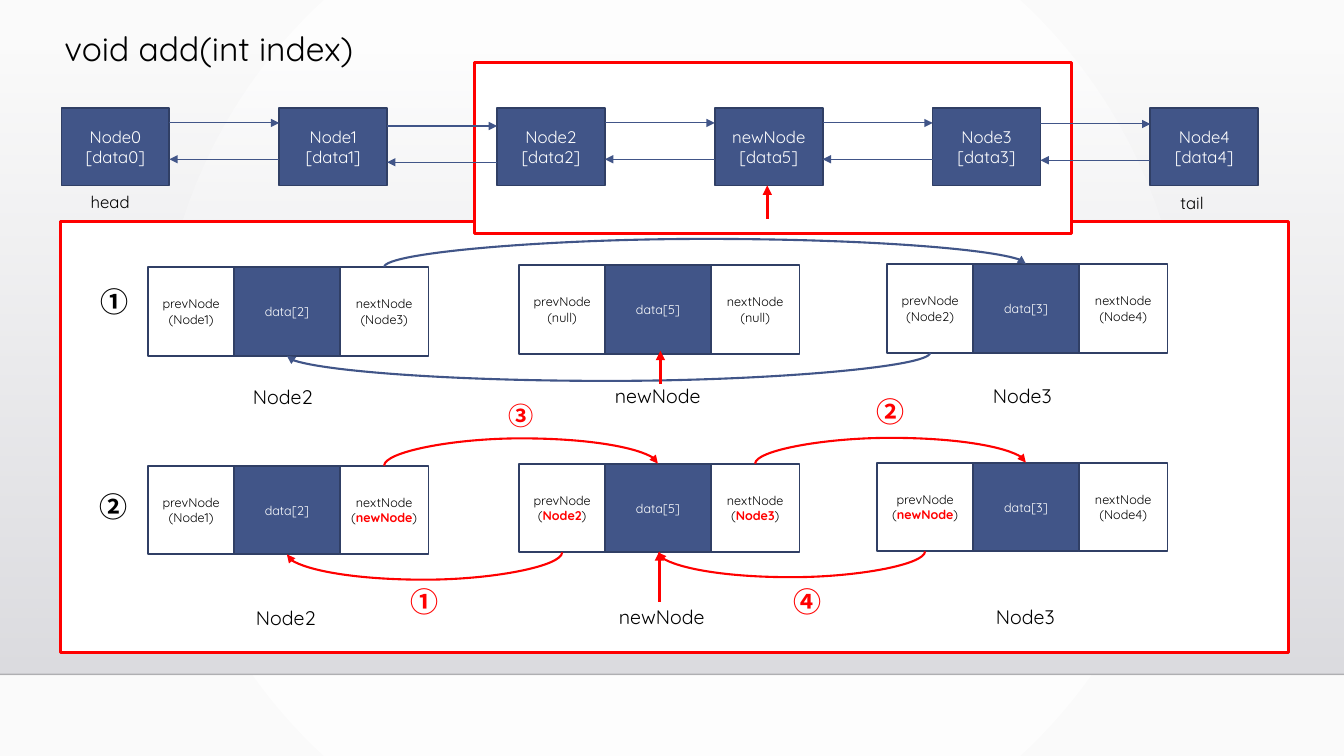
"""Build the slide that explains inserting a node into a doubly linked list."""
from dataclasses import dataclass

from lxml import etree
from pptx import Presentation
from pptx.dml.color import RGBColor
from pptx.enum.shapes import MSO_CONNECTOR, MSO_SHAPE
from pptx.enum.text import MSO_ANCHOR, PP_ALIGN
from pptx.oxml.ns import qn
from pptx.util import Inches, Pt

RECTANGLE = MSO_SHAPE.RECTANGLE
STRAIGHT, CURVE = MSO_CONNECTOR.STRAIGHT, MSO_CONNECTOR.CURVE
CENTER, LEFT, MIDDLE = PP_ALIGN.CENTER, PP_ALIGN.LEFT, MSO_ANCHOR.MIDDLE
TOP_SITE, BOTTOM_SITE = 0, 2
COLORS = {
    "white": "FFFFFF", "black": "000000", "red": "FF0000", "blue": "415588",
    "outline": "303F65", "paper": "FAFAFA", "mist": "DCDCE0", "haze": "DEDEE2",
}
TEXT_FONT, MARK_FONT = "Quicksand", "Noto Sans CJK KR"


@dataclass
class DetailNode:
    left: float
    top: float
    prev_width: float
    prev_target: str
    data: str
    next_target: str
    label: str
    label_left: float
    label_top: float
    changed: tuple = ()


@dataclass
class Link:
    source: tuple
    target: tuple
    color: str
    rise: float
    upward: bool


@dataclass
class Mark:
    text: str
    left: float
    top: float
    color: str
    size: int = 20


def rgb(name: str) -> RGBColor:
    return RGBColor.from_string(COLORS[name])


def style_paragraph(paragraph, size, color: str, font: str = TEXT_FONT, align=LEFT, bold=None) -> None:
    paragraph.alignment = align
    paragraph.font.size, paragraph.font.name, paragraph.font.bold = Pt(size), font, bold
    paragraph.font.color.rgb = rgb(color)


def add_box(left, top, width, height, fill: str, line: str, line_width, lines=(), size=12,
            color="white", highlight=""):
    shape = slide.shapes.add_shape(RECTANGLE, Inches(left), Inches(top), Inches(width), Inches(height))
    shape.shadow.inherit = False
    shape.fill.solid()
    shape.fill.fore_color.rgb = rgb(fill)
    shape.line.color.rgb = rgb(line)
    shape.line.width = Pt(line_width)
    frame = shape.text_frame
    frame.word_wrap, frame.vertical_anchor = True, MIDDLE
    for index, text in enumerate(lines):
        paragraph = frame.add_paragraph() if index else frame.paragraphs[0]
        style_paragraph(paragraph, size, color, align=CENTER)
        if highlight and highlight in text:
            for part in ("(", highlight, ")"):
                run = paragraph.add_run()
                run.text = part
                if part == highlight:
                    run.font.bold = True
                    run.font.color.rgb = rgb("red")
        else:
            paragraph.add_run().text = text
    return shape


def add_label(text: str, left, top, width, height, size) -> None:
    frame = slide.shapes.add_textbox(Inches(left), Inches(top), Inches(width), Inches(height)).text_frame
    frame.word_wrap = True
    frame.text = text
    style_paragraph(frame.paragraphs[0], size, "black")


def add_mark(mark: Mark) -> None:
    frame = slide.shapes.add_textbox(Inches(mark.left), Inches(mark.top), Inches(0.28), Inches(0.34)).text_frame
    frame.margin_left = frame.margin_right = frame.margin_top = frame.margin_bottom = 0
    frame.word_wrap = False
    frame.text = mark.text
    paragraph = frame.paragraphs[0]
    style_paragraph(paragraph, mark.size, mark.color, MARK_FONT, bold=True)
    latin = paragraph._p.pPr.find(".//" + qn("a:latin"))
    latin.addnext(latin.makeelement(qn("a:ea"), {"typeface": MARK_FONT}))


def add_line(start: tuple, end: tuple, color: str, width, kind=STRAIGHT, arrow=True):
    connector = slide.shapes.add_connector(kind, *(Inches(value) for value in (*start, *end)))
    connector.line.color.rgb = rgb(color)
    connector.line.width = Pt(width)
    if arrow:
        etree.SubElement(connector.line._get_or_add_ln(), qn("a:tailEnd"), type="triangle")
    etree.SubElement(connector._element.spPr, qn("a:effectLst"))
    return connector


def add_link(link: Link) -> None:
    source, target = (cells[key] for key in (link.source, link.target))
    site = TOP_SITE if link.upward else BOTTOM_SITE
    connector = add_line((0, 0), (1, 1), link.color, 1.5, CURVE)
    connector.begin_connect(source, site)
    connector.end_connect(target, site)
    center_x = (connector.begin_x + connector.end_x) // 2
    center_y = (connector.begin_y + connector.end_y) // 2
    span, drop = connector.width, connector.height
    connector.left, connector.top = center_x - drop // 2, center_y - span // 2
    connector.width, connector.height = drop, span
    properties = connector._element.spPr
    transform = properties.find(qn("a:xfrm"))
    transform.set("rot", "5400000")
    for flip in ("flipH", "flipV"):
        transform.set(flip, str(int(link.upward)))
    guides = properties.find(qn("a:prstGeom")).get_or_add_avLst()
    etree.SubElement(guides, qn("a:gd"), name="adj1", fmla=f"val {round(Inches(link.rise) / drop * 100000)}")


def set_gradient(fill, first: str, last: str) -> None:
    fill.gradient()
    for stop, color in zip(fill.gradient_stops, (first, last)):
        stop.color.rgb = rgb(color)


def set_alpha(element, percent: int) -> None:
    etree.SubElement(element.find(".//" + qn("a:srgbClr")), qn("a:alpha"), val=str(percent * 1000))


def add_backdrop() -> None:
    set_gradient(slide.background.fill, "white", "paper")
    linear = slide._element.find(".//" + qn("a:lin"))
    radial = linear.makeelement(qn("a:path"), {"path": "circle"})
    etree.SubElement(radial, qn("a:fillToRect"), l="50000", t="50000", r="50000", b="50000")
    linear.getparent().replace(linear, radial)
    shade = add_box(0, 0.51, 13.33, 6.18, "mist", "mist", 1)
    shade.line.fill.background()
    set_gradient(shade.fill, "mist", "haze")
    shade.fill.gradient_angle = 270
    set_alpha(shade._element.spPr.find(qn("a:gradFill")), 0)
    horizon = add_line((0, 6.69), (13.33, 6.69), "black", 1, arrow=False)
    set_alpha(horizon._element.spPr, 20)


def add_detail_node(key: tuple, node: DetailNode) -> None:
    data_left = node.left + node.prev_width
    parts = (
        ("prev", node.left, node.prev_width, ("prevNode", f"({node.prev_target})"), node.prev_target),
        ("data", data_left, 1.05, (node.data,), ""),
        ("next", data_left + 1.05, 0.88, ("nextNode", f"({node.next_target})"), node.next_target),
    )
    for part, left, width, lines, target in parts:
        fill, color = ("blue", "white") if part == "data" else ("white", "black")
        cells[(*key, part)] = add_box(left, node.top, width, 0.88, fill, "outline", 1.25, lines, 9, color,
                                      target if part in node.changed else "")
    add_label(node.label, node.label_left, node.label_top, 1.16, 0.34, 14)


CHAIN = ("Node0", "data0"), ("Node1", "data1"), ("Node2", "data2"), ("newNode", "data5"), ("Node3", "data3"), ("Node4", "data4")
ARROW_TOPS = (1.22, 1.25, 1.22, 1.22, 1.23)
CHAIN_LEFT, PITCH, NODE_WIDTH = 0.61, 2.16, 1.07
STAGES = (
    (DetailNode(1.47, 2.65, 0.85, "Node1", "data[2]", "Node3", "Node2", 2.41, 3.77),
     DetailNode(5.15, 2.63, 0.85, "null", "data[5]", "null", "newNode", 6, 3.76),
     DetailNode(8.8, 2.62, 0.85, "Node2", "data[3]", "Node4", "Node3", 9.75, 3.76)),
    (DetailNode(1.47, 4.62, 0.85, "Node1", "data[2]", "newNode", "Node2", 2.44, 5.96, ("next",)),
     DetailNode(5.15, 4.6, 0.85, "Node2", "data[5]", "Node3", "newNode", 6.04, 5.95, ("prev", "next")),
     DetailNode(8.7, 4.59, 0.95, "newNode", "data[3]", "Node4", "Node3", 9.78, 5.95, ("prev",))),
)
LINKS = (
    Link((0, 0, "next"), (0, 2, "data"), "blue", 0.28, True),
    Link((0, 2, "prev"), (0, 0, "data"), "blue", 0.28, False),
    Link((1, 0, "next"), (1, 1, "data"), "red", 0.27, True),
    Link((1, 1, "next"), (1, 2, "data"), "red", 0.26, True),
    Link((1, 1, "prev"), (1, 0, "data"), "red", 0.27, False),
    Link((1, 2, "prev"), (1, 1, "data"), "red", 0.26, False),
)
MARKS = (
    Mark("①", 1, 2.82, "black"), Mark("②", 0.99, 4.86, "black"),
    Mark("①", 4.07, 5.8, "red"), Mark("②", 8.69, 3.91, "red"),
    Mark("③", 5.04, 3.97, "red", 18), Mark("④", 7.87, 5.8, "red"),
)
POINTERS = ((7.61, 2.17, 1.84), (6.55, 3.81, 3.48), (6.54, 5.97, 5.47))

presentation = Presentation()
presentation.slide_width, presentation.slide_height = Inches(13.33), Inches(7.5)
slide = presentation.slides.add_slide(presentation.slide_layouts[6])
cells: dict = {}

add_backdrop()
add_box(0.6, 2.2, 12.18, 4.27, "white", "red", 2.25)
add_box(4.71, 0.62, 5.92, 1.7, "white", "red", 2.25)
add_label("void add(int index)", 0.54, 0.23, 6.02, 0.5, 24)
for position, (name, value) in enumerate(CHAIN):
    add_box(CHAIN_LEFT + position * PITCH, 1.07, NODE_WIDTH, 0.77, "blue", "outline", 1.25, (name, f"[{value}]"))
for position, arrow_top in enumerate(ARROW_TOPS):
    gap_left = CHAIN_LEFT + position * PITCH + NODE_WIDTH
    gap_right = CHAIN_LEFT + (position + 1) * PITCH
    add_line((gap_left, arrow_top), (gap_right, arrow_top), "blue", 0.75)
    add_line((gap_right, arrow_top + 0.36), (gap_left, arrow_top + 0.36), "blue", 0.75)
add_label("head", 0.8, 1.85, 0.67, 0.3, 12)
add_label("tail", 11.61, 1.86, 0.67, 0.3, 12)
for stage, nodes in enumerate(STAGES):
    for position, node in enumerate(nodes):
        add_detail_node((stage, position), node)
for link in LINKS:
    add_link(link)
for pointer_left, tail_top, head_top in POINTERS:
    add_line((pointer_left, tail_top), (pointer_left, head_top), "red", 2.25)
for mark in MARKS:
    add_mark(mark)
presentation.save("out.pptx")
